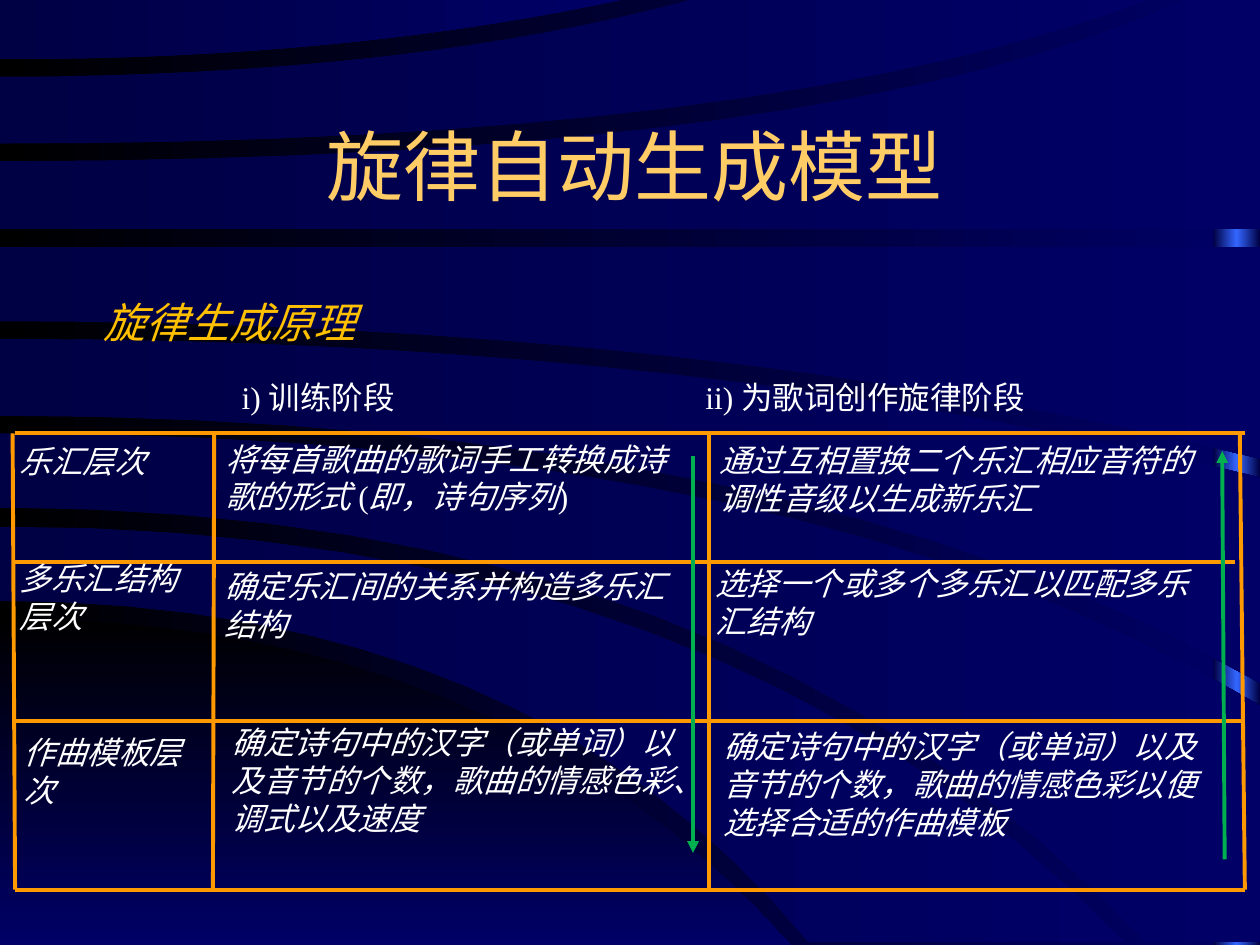
from copy import deepcopy

from lxml import etree
from pptx import Presentation
from pptx.dml.color import RGBColor
from pptx.enum.shapes import MSO_CONNECTOR as Connector, MSO_SHAPE as Shape
from pptx.enum.text import MSO_ANCHOR as Anchor, MSO_AUTO_SIZE as AutoSize, PP_ALIGN as Align
from pptx.oxml.ns import qn
from pptx.util import Inches, Pt

# The slide is a grid of 100 columns by 75 rows of square cells
WIDTH, HEIGHT = Inches(10), Inches(7.5)
CELL = WIDTH / 100

FONT = "Times New Roman"
WHITE, GOLD, AMBER = "FFFFFF", "FFCC66", "FFC000"
ORANGE, GREEN = "FF9900", "00B050"
BLACK, NIGHT, NAVY, BLUE = "000000", "000044", "000066", "3366FF"

# Background bands as upper and lower edge. Each edge leaves the left side level
# at a row, turns towards a column, and ends at a column and row.
CURVE_STEPS = 16
CORNER = ((49.1, 39.8, 62.8, 75), (75, 30, 62.8, 75))
BANDS = [
    ((41.8, 57.6, 89.3, 74.8), (47.7, 42, 64.2, 74.8)),
    ((34.4, 64, 100, 56), (40.3, 58.8, 90.9, 74.8)),
    ((26.9, 55.4, 100, 37.9), (33, 63, 100, 54.2)),
    ((19.6, 50, 100, 19.6), (25.5, 56, 100, 36.4)),
    ((12.8, 66.8, 94.3, -0.2), (18.2, 50, 100, 18.2)),
    ((6.1, 32.8, 55.6, -0.2), (11.4, 61.2, 91.7, -0.2)),
    ((-0.2, 25, 50.1, -0.2), (4.7, 28, 50.1, -0.2)),
]

# Ruled frame
LEFT, RIGHT, TOP, BOTTOM = 1.2, 98.8, 34.4, 70.6
FRAME = [
    *[(LEFT, row, RIGHT, row) for row in (TOP, 57.2, BOTTOM)],
    (LEFT, 44.6, 98, 44.6),
    *[(low, BOTTOM, high, TOP) for low, high in
      ((LEFT, 1), (16.9, 17), (56.3, 56.3), (RIGHT, 98.4))],
]

# Cell texts: left, top, width, then runs of text and whether they are italic
CELLS = [
    (0.6, 34.6, 17.4, [("乐汇层次", True)]),
    (0.6, 43.9, 14.6, [("多乐汇结构层次", True)]),
    (0.9, 57.7, 14.8, [("作曲模板层次", True)]),
    (16.9, 34.4, 37.2, [("将每首歌曲的歌词手工转换成诗歌的形式 ", True), ("(", False),
                        ("即，诗句序列", True), (")", False)]),
    (16.8, 44.5, 38.3, [("确定乐汇间的关系并构造多乐汇结构", True)]),
    (17.4, 56.9, 39.1, [("确定诗句中的汉字（或单词）以及音节的个数，歌曲的情感色彩、调式以及速度", True)]),
    (56.1, 34.5, 40.1, [("通过互相置换二个乐汇相应音符的调性音级以生成新乐汇", True)]),
    (55.8, 44.3, 39.6, [("选择一个或多个多乐汇以匹配多乐汇结构", True)]),
    (56.4, 57.2, 41.8, [("确定诗句中的汉字（或单词）以及音节的个数，歌曲的情感色彩以便选择合适的作曲模板", True)]),
]


def grid(*cells):
    return [round(cell * CELL) for cell in cells]


def rgb(color):
    return RGBColor.from_string(color)


def paint_gradient(fill, first, last, clockwise=0):
    fill.gradient()
    fill.gradient_angle = 360 - clockwise
    for stop, color in zip(fill.gradient_stops, (first, last)):
        stop.color.rgb = rgb(color)


def trace_edge(start_row, turn, end_column, end_row):
    points = []
    for step in range(CURVE_STEPS + 1):
        t = step / CURVE_STEPS
        column = 2 * t * (1 - t) * turn + t * t * end_column
        row = start_row + t * t * (end_row - start_row)
        points.append(grid(column, row))
    return points


def add_band(page, edges, first=NIGHT, clockwise=0):
    upper, lower = [trace_edge(*edge) for edge in edges]
    corners = []
    if max(upper[-1][0], lower[-1][0]) == WIDTH:
        corners = [(WIDTH, max(upper[-1][1], lower[-1][1])),
                   (WIDTH, min(upper[-1][1], lower[-1][1]))]
        if upper[-1][1] < lower[-1][1]:
            corners.reverse()
    start, *rest = upper + corners + lower[::-1]
    builder = page.shapes.build_freeform(*start)
    builder.add_line_segments(rest, close=True)
    band = builder.convert_to_shape()
    band.shadow.inherit = False
    band.line.fill.background()
    paint_gradient(band.fill, first, NAVY, clockwise)


def add_edge_strip(page):
    strip = page.shapes.add_shape(Shape.RECTANGLE, *grid(96.3, 0, 3.7, 75))
    strip.shadow.inherit = False
    strip.line.fill.background()
    paint_gradient(strip.fill, NIGHT, NIGHT)
    stops = strip._element.spPr.find(".//" + qn("a:gsLst"))
    stops.insert(1, deepcopy(stops[0]))
    middle = strip.fill.gradient_stops[1]
    middle.position = 0.5
    middle.color.rgb = rgb(BLUE)


def add_line(page, ends, color, arrow=False):
    line = page.shapes.add_connector(Connector.STRAIGHT, *grid(*ends))
    line.line.color.rgb = rgb(color)
    line.line.width = Pt(2.25)
    if arrow:
        outline = line._element.spPr.find(qn("a:ln"))
        etree.SubElement(outline, qn("a:tailEnd"), type="triangle")
    etree.SubElement(line._element.spPr, qn("a:effectLst"))


def add_text(page, place, runs, size=18, color=WHITE, grow=False):
    box = page.shapes.add_textbox(*grid(*place))
    frame = box.text_frame
    frame.word_wrap = True
    if grow:
        frame.auto_size = AutoSize.SHAPE_TO_FIT_TEXT
    para = frame.paragraphs[0]
    for text, italic in runs:
        span = para.add_run()
        span.text = text
        span.font.name = FONT
        span.font.size = Pt(size)
        span.font.italic = italic
        span.font.color.rgb = rgb(color)
    return frame


def add_stage_headings(page):
    frame = add_text(page, (18.2, 29.5, 84.3, 4),
                     [("i) 训练阶段\t", False), ("ii) 为歌词创作旋律阶段", False)], grow=True)
    tabs = etree.SubElement(frame.paragraphs[0]._p.get_or_add_pPr(), qn("a:tabLst"))
    etree.SubElement(tabs, qn("a:tab"), pos=str(grid(36.8)[0]), algn="l")


def main():
    deck = Presentation()
    deck.slide_width, deck.slide_height = WIDTH, HEIGHT
    page = deck.slides.add_slide(deck.slide_layouts[6])

    # Background
    paint_gradient(page.background.fill, BLACK, NAVY)
    add_edge_strip(page)
    add_band(page, CORNER, BLACK, 90)
    for edges in BANDS:
        # Bands that leave through the side and the bottom fill the corner between
        add_band(page, edges)

    # Headings
    title = add_text(page, (2.8, 6.9, 95.2, 12.3), [("旋律自动生成模型", False)], 44, GOLD)
    title.vertical_anchor = Anchor.MIDDLE
    title.paragraphs[0].alignment = Align.CENTER
    subtitle = add_text(page, (1.8, 23, 57.7, 5.8), [("旋律生成原理", True)], 24, AMBER)
    subtitle.margin_left = grid(6.4)[0]
    add_stage_headings(page)

    # Ruled frame and its texts
    for ends in FRAME:
        add_line(page, ends, ORANGE)
    for left, top, width, runs in CELLS:
        add_text(page, (left, top, width, 7.1), runs, grow=True)

    # Direction of each stage
    add_line(page, (55, 36.2, 55, 67.7), GREEN, arrow=True)
    add_line(page, (97.2, 68.2, 97, 35.8), GREEN, arrow=True)

    deck.save("out.pptx")


if __name__ == "__main__":
    main()
